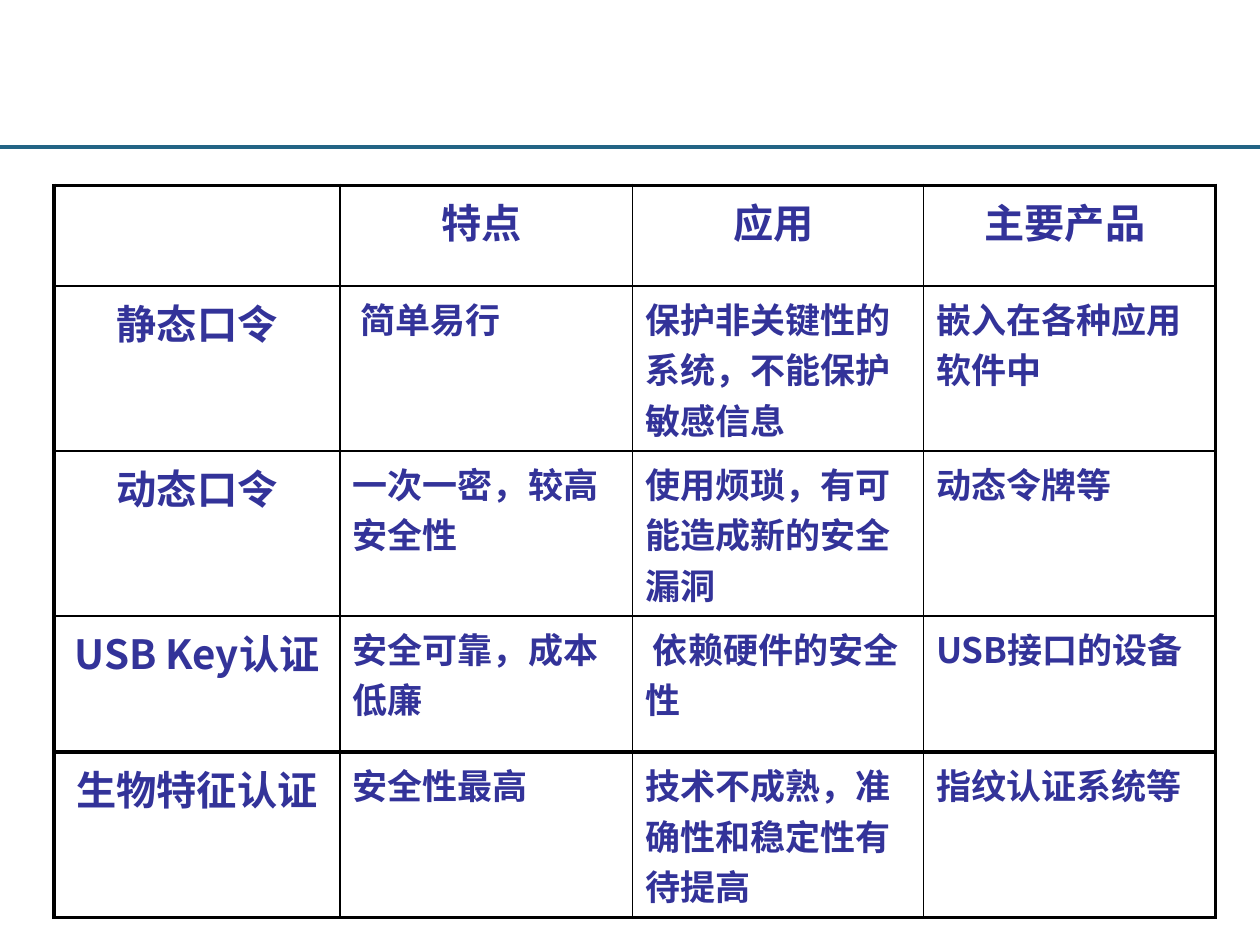
import pptx
import pptx.dml.color
import pptx.enum.shapes
import pptx.enum.text
import pptx.oxml
import pptx.util
from lxml import etree

COLORS = {"rule": "236485", "text": "333399", "border": "000000"}
FONT = "Noto Sans CJK SC"
THIN, THICK = 1, 2.25
ALIGN = pptx.enum.text.PP_ALIGN
inches = pptx.util.Inches


def write(frame, text, align, size):
    paragraph = frame.paragraphs[0]
    paragraph.alignment = align
    run = paragraph.add_run()
    run.text = text
    font_format = {"name": FONT, "size": pptx.util.Pt(size), "bold": True}
    for attribute, value in font_format.items():
        setattr(run.font, attribute, value)
    run.font.color.rgb = pptx.dml.color.RGBColor.from_string(COLORS["text"])
    east_asian = etree.SubElement(run.font._element, pptx.oxml.ns.qn("a:ea"))
    east_asian.set("typeface", FONT)


def add_borders(cell, widths):
    """Draw the left, right, top and bottom borders, with widths in points."""
    properties = cell._tc.get_or_add_tcPr()
    for position, (side, width) in enumerate(zip("LRTB", widths)):
        border = pptx.oxml.parse_xml(
            f'<a:ln{side} {pptx.oxml.ns.nsdecls("a")} w="{pptx.util.Pt(width)}">'
            f'<a:solidFill><a:srgbClr val="{COLORS["border"]}"/></a:solidFill>'
            f'<a:prstDash val="solid"/></a:ln{side}>')
        properties.insert(position, border)


presentation = pptx.Presentation()
presentation.slide_width, presentation.slide_height = inches(10), inches(7.5)
slide = presentation.slides.add_slide(presentation.slide_layouts[6])

# Rule across the top of the slide
rule_y = inches(1.17)
rule = slide.shapes.add_connector(
    pptx.enum.shapes.MSO_CONNECTOR.STRAIGHT, 0, rule_y, presentation.slide_width, rule_y)
rule.line.width = pptx.util.Pt(THICK)
rule.line.color.rgb = pptx.dml.color.RGBColor.from_string(COLORS["rule"])
etree.SubElement(rule._element.spPr, pptx.oxml.ns.qn("a:effectLst"))

# Comparison of the authentication methods
comparison = [
    ["", "特点 ", "应用 ", "主要产品 "],
    ["静态口令", " 简单易行", "保护非关键性的系统，不能保护敏感信息", "嵌入在各种应用软件中"],
    ["动态口令", "一次一密，较高安全性", "使用烦琐，有可能造成新的安全漏洞", "动态令牌等"],
    ["USB Key认证", "安全可靠，成本低廉", " 依赖硬件的安全性", "USB接口的设备"],
    ["生物特征认证", "安全性最高", "技术不成熟，准确性和稳定性有待提高", "指纹认证系统等"],
]
column_widths = [2.27, 2.32, 2.31, 2.32]
row_heights = [0.8, 1.31, 1.31, 1.08, 1.31]
last_row, last_column = len(row_heights) - 1, len(column_widths) - 1
thick_lines = {0, last_row, last_row + 1}

table = slide.shapes.add_table(
    len(row_heights), len(column_widths), inches(0.43), inches(1.47),
    inches(sum(column_widths)), inches(sum(row_heights))).table
table.first_row = table.horz_banding = False
for column, width in zip(table.columns, column_widths):
    column.width = inches(width)
for row, height in zip(table.rows, row_heights):
    row.height = inches(height)

for r, entries in enumerate(comparison):
    for c, entry in enumerate(entries):
        cell = table.cell(r, c)
        cell.fill.background()
        add_borders(cell, [
            THICK if c == 0 else THIN,
            THICK if c == last_column else THIN,
            THICK if r in thick_lines else THIN,
            THICK if r + 1 in thick_lines else THIN,
        ])
        is_header = r == 0 or c == 0
        if entry:
            write(cell.text_frame, entry, ALIGN.CENTER if is_header else ALIGN.LEFT,
                  23 if is_header else 20)

presentation.save("out.pptx")
